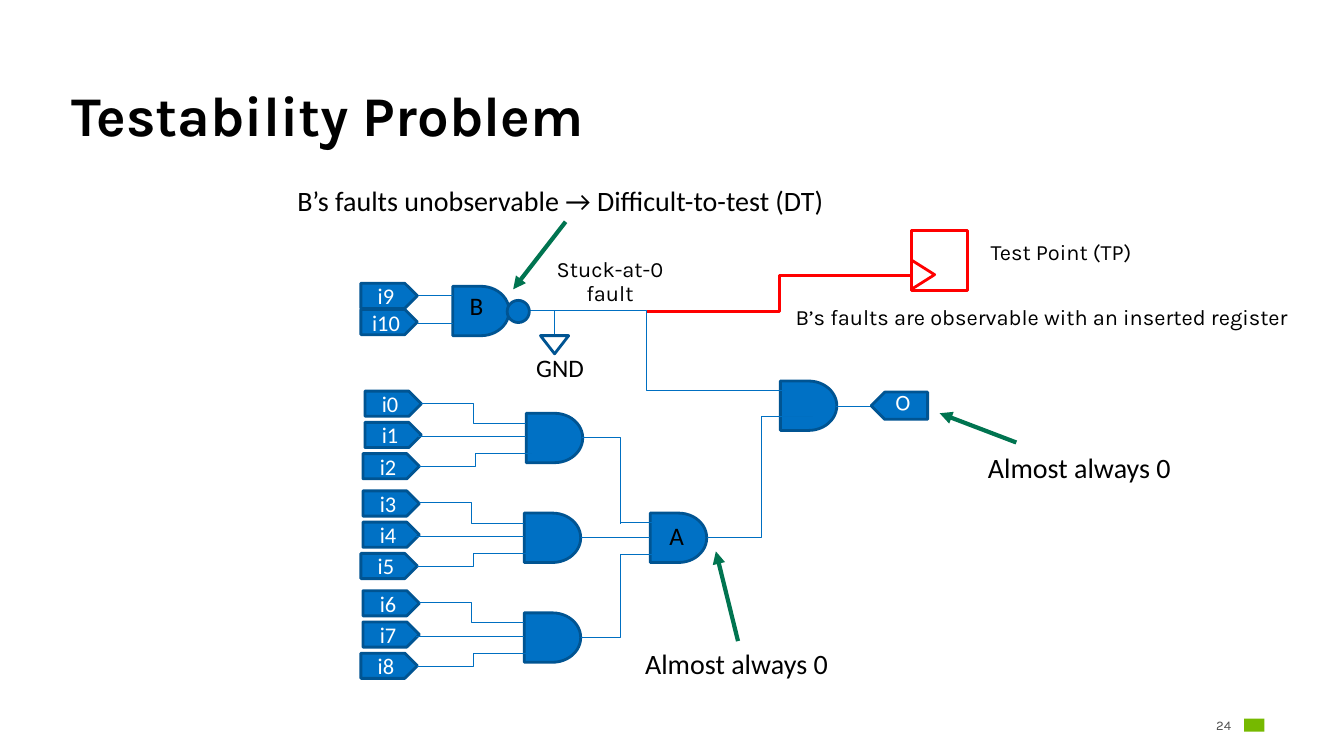
from dataclasses import dataclass

import lxml.etree
import pptx
import pptx.dml.color
import pptx.enum.shapes
import pptx.enum.text
import pptx.oxml.ns
import pptx.slide
import pptx.util

Inches = pptx.util.Inches
Pt = pptx.util.Pt
SHAPE = pptx.enum.shapes.MSO_SHAPE
CONNECTOR = pptx.enum.shapes.MSO_CONNECTOR
ALIGN = pptx.enum.text.PP_ALIGN
ANCHOR = pptx.enum.text.MSO_ANCHOR
AUTO_SIZE = pptx.enum.text.MSO_AUTO_SIZE

COLORS = {
    "black": "000000",
    "white": "FFFFFF",
    "gray": "505050",
    "gate": "0071C5",
    "outline": "005492",
    "wire": "006FC1",
    "pointer": "007450",
    "test": "FF0000",
    "footer": "76B900",
}
GATE_SIZE = (0.56, 0.49)
PORT_SIZE = (0.56, 0.25)


@dataclass(frozen=True)
class Block:
    kind: int
    left: float
    top: float
    width: float
    height: float
    fill: str | None = "gate"
    line: str | None = "outline"
    text: str = ""
    rotation: int = 0


@dataclass(frozen=True)
class Wire:
    start: tuple[float, float]
    end: tuple[float, float]
    bend: str = "straight"  # straight, corner or step
    color: str = "wire"
    weight: float = 0.75
    arrow: bool = False


@dataclass(frozen=True)
class Label:
    text: str
    left: float
    top: float
    width: float
    height: float
    size: float
    font: str = "Calibri"
    wrap: bool = False


@dataclass(frozen=True)
class InputGroup:
    first: int
    left: float
    top: float


INPUT_GROUPS = [InputGroup(0, 3.62, 3.88), InputGroup(3, 3.6, 4.87), InputGroup(6, 3.6, 5.86)]

WIRES = [
    Wire((5.77, 4.34), (6.15, 5.2), "corner"),
    Wire((5.76, 6.33), (6.15, 5.5), "corner"),
    Wire((7.01, 5.33), (7.55, 4.13), "corner"),
    Wire((7.55, 4.13), (8.06, 4.13)),
    Wire((6.49, 5.18), (6.16, 5.18)),
    Wire((6.48, 5.5), (6.15, 5.5)),
    Wire((4.49, 2.93), (4.15, 2.93)),
    Wire((4.49, 3.21), (4.15, 3.21)),
    Wire((5.04, 3.08), (7.79, 3.87), "step"),
    Wire((8.29, 4.03), (8.64, 4.03)),
    Wire((5.5, 3.08), (5.5, 3.33)),
    Wire((6.42, 3.09), (9.04, 2.73), "step", "test", 2),
    Wire((7.32, 6.36), (7.1, 5.47), "straight", "pointer", 3, True),
    Wire((5.61, 2.2), (5.09, 2.87), "straight", "pointer", 3, True),
    Wire((10.08, 4.39), (9.32, 4.1), "straight", "pointer", 3, True),
]

BLOCKS = [
    Block(SHAPE.PENTAGON, 3.58, 2.81, *PORT_SIZE, text="i9"),
    Block(SHAPE.PENTAGON, 3.58, 3.07, *PORT_SIZE, text="i10"),
    Block(SHAPE.PENTAGON, 8.64, 3.89, 0.56, 0.27, text="O", rotation=180),
    Block(SHAPE.OVAL, 5.03, 2.98, 0.22, 0.22),
    Block(SHAPE.ISOSCELES_TRIANGLE, 5.36, 3.33, 0.28, 0.18, fill=None, rotation=180),
    Block(SHAPE.RECTANGLE, 9.04, 2.29, 0.56, 0.59, fill=None, line="test"),
    Block(SHAPE.RECTANGLE, 12.34, 7.13, 0.2, 0.13, fill="footer", line=None),
]

LABELS = [
    Label("B’s faults unobservable → Difficult-to-test (DT)", 2.85, 1.77, 5.51, 0.44, 20),
    Label("Almost always 0", 6.3, 6.36, 2.03, 0.44, 20),
    Label("Almost always 0", 9.7, 4.42, 2.03, 0.44, 20),
    Label("B", 4.56, 2.83, 0.43, 0.4, 18, wrap=True),
    Label("A", 6.54, 5.11, 0.43, 0.4, 18, wrap=True),
    Label("GND", 5.22, 3.45, 0.68, 0.4, 18),
    Label("B’s faults are observable with an inserted register",
          7.55, 2.99, 5.57, 0.34, 15.6, "Karla", True),
    Label("Test Point (TP)", 9.71, 2.34, 1.63, 0.34, 15.6, "Karla"),
    Label("Stuck-at-0 fault", 5.39, 2.52, 1.32, 0.57, 15.6, "Karla", True),
]


def rgb(name: str) -> pptx.dml.color.RGBColor:
    return pptx.dml.color.RGBColor.from_string(COLORS[name])


def style_text(para, font: str, size: float, color: str, bold: bool = False) -> None:
    for span in para.runs:
        span.font.name = font
        span.font.size = Pt(size)
        span.font.bold = bold
        span.font.color.rgb = rgb(color)


def draw_block(page: pptx.slide.Slide, block: Block):
    box = page.shapes.add_shape(block.kind, Inches(block.left), Inches(block.top),
                                Inches(block.width), Inches(block.height))
    box.shadow.inherit = False
    box.rotation = block.rotation
    if block.fill:
        box.fill.solid()
        box.fill.fore_color.rgb = rgb(block.fill)
    else:
        box.fill.background()
    if block.line:
        box.line.color.rgb = rgb(block.line)
        box.line.width = Pt(2)
    else:
        box.line.fill.background()
    if block.text:
        box.text_frame.text = block.text
        box.text_frame.vertical_anchor = ANCHOR.MIDDLE
        para = box.text_frame.paragraphs[0]
        para.alignment = ALIGN.CENTER
        style_text(para, "Calibri", 16, "white")
    return box


def draw_gate(page: pptx.slide.Slide, left: float, top: float):
    return draw_block(page, Block(SHAPE.FLOWCHART_DELAY, left, top, *GATE_SIZE))


def draw_wire(page: pptx.slide.Slide, wire: Wire):
    kind = CONNECTOR.STRAIGHT if wire.bend == "straight" else CONNECTOR.ELBOW
    connector = page.shapes.add_connector(kind, *map(Inches, wire.start + wire.end))
    connector.line.color.rgb = rgb(wire.color)
    connector.line.width = Pt(wire.weight)
    qn = pptx.oxml.ns.qn
    properties = connector._element.spPr
    if wire.bend == "corner":
        properties.find(qn("a:prstGeom")).set("prst", "bentConnector2")
    if wire.arrow:
        lxml.etree.SubElement(properties.find(qn("a:ln")), qn("a:tailEnd"), type="triangle")
    lxml.etree.SubElement(properties, qn("a:effectLst"))
    return connector


def draw_label(page: pptx.slide.Slide, label: Label) -> None:
    box = page.shapes.add_textbox(Inches(label.left), Inches(label.top),
                                  Inches(label.width), Inches(label.height))
    frame = box.text_frame
    frame.text = label.text
    frame.word_wrap = label.wrap
    frame.auto_size = AUTO_SIZE.SHAPE_TO_FIT_TEXT
    para = frame.paragraphs[0]
    if label.font == "Karla":
        frame.vertical_anchor = ANCHOR.MIDDLE
        para.alignment = ALIGN.CENTER
        para.line_spacing = 0.9
    style_text(para, label.font, label.size, "black")


def draw_input_group(page: pptx.slide.Slide, group: InputGroup):
    """Draw three input ports wired to one gate, and return the gate."""
    left, top = group.left, group.top
    gate = draw_gate(page, left + 1.6, top + 0.22)
    for index, shift in enumerate((0, 0, -0.02)):
        draw_block(page, Block(SHAPE.PENTAGON, left + shift, top + 0.31 * index,
                               *PORT_SIZE, text=f"i{group.first + index}"))
    draw_wire(page, Wire((left + 0.56, top + 0.12), (left + 1.6, top + 0.32), "step"))
    draw_wire(page, Wire((left + 0.53, top + 0.45), (left + 1.6, top + 0.45)))
    draw_wire(page, Wire((left + 0.54, top + 0.75), (left + 1.66, top + 0.62), "step"))
    return gate


def draw_title(page: pptx.slide.Slide) -> None:
    title = page.shapes.title
    title.left, title.top = Inches(0.61), Inches(0.81)
    title.width, title.height = Inches(12.12), Inches(0.71)
    frame = title.text_frame
    frame.text = "Testability Problem"
    frame.vertical_anchor = ANCHOR.BOTTOM
    frame.auto_size = AUTO_SIZE.NONE
    para = frame.paragraphs[0]
    para.alignment = ALIGN.LEFT
    para.line_spacing = 0.9
    style_text(para, "Karla", 40, "black", bold=True)


def draw_page_number(page: pptx.slide.Slide) -> None:
    box = page.shapes.add_textbox(Inches(11.86), Inches(7.09), Inches(0.35), Inches(0.2))
    frame = box.text_frame
    frame.margin_left = frame.margin_right = frame.margin_top = frame.margin_bottom = 0
    frame.text = "24"
    frame.word_wrap = True
    frame.vertical_anchor = ANCHOR.MIDDLE
    frame.paragraphs[0].alignment = ALIGN.RIGHT
    style_text(frame.paragraphs[0], "Karla", 9.4, "gray")


def main() -> None:
    deck = pptx.Presentation()
    deck.slide_width, deck.slide_height = Inches(13.33), Inches(7.5)
    page = deck.slides.add_slide(deck.slide_layouts.get_by_name("Title Only"))
    draw_title(page)
    draw_gate(page, 4.49, 2.84)
    draw_gate(page, 7.74, 3.78)
    gate_a = draw_gate(page, 6.45, 5.09)
    input_gates = [draw_input_group(page, group) for group in INPUT_GROUPS]
    middle_wire = draw_wire(page, Wire((5.76, 5.33), (6.45, 5.33)))
    middle_wire.begin_connect(input_gates[1], 3)
    middle_wire.end_connect(gate_a, 1)
    for wire in WIRES:
        draw_wire(page, wire)
    for block in BLOCKS:
        draw_block(page, block)
    clock = draw_block(page, Block(SHAPE.PENTAGON, 9.04, 2.58, 0.23, 0.29, None, "test"))
    clock.adjustments[0] = 1.04
    for label in LABELS:
        draw_label(page, label)
    draw_page_number(page)
    deck.save("out.pptx")


if __name__ == "__main__":
    main()
